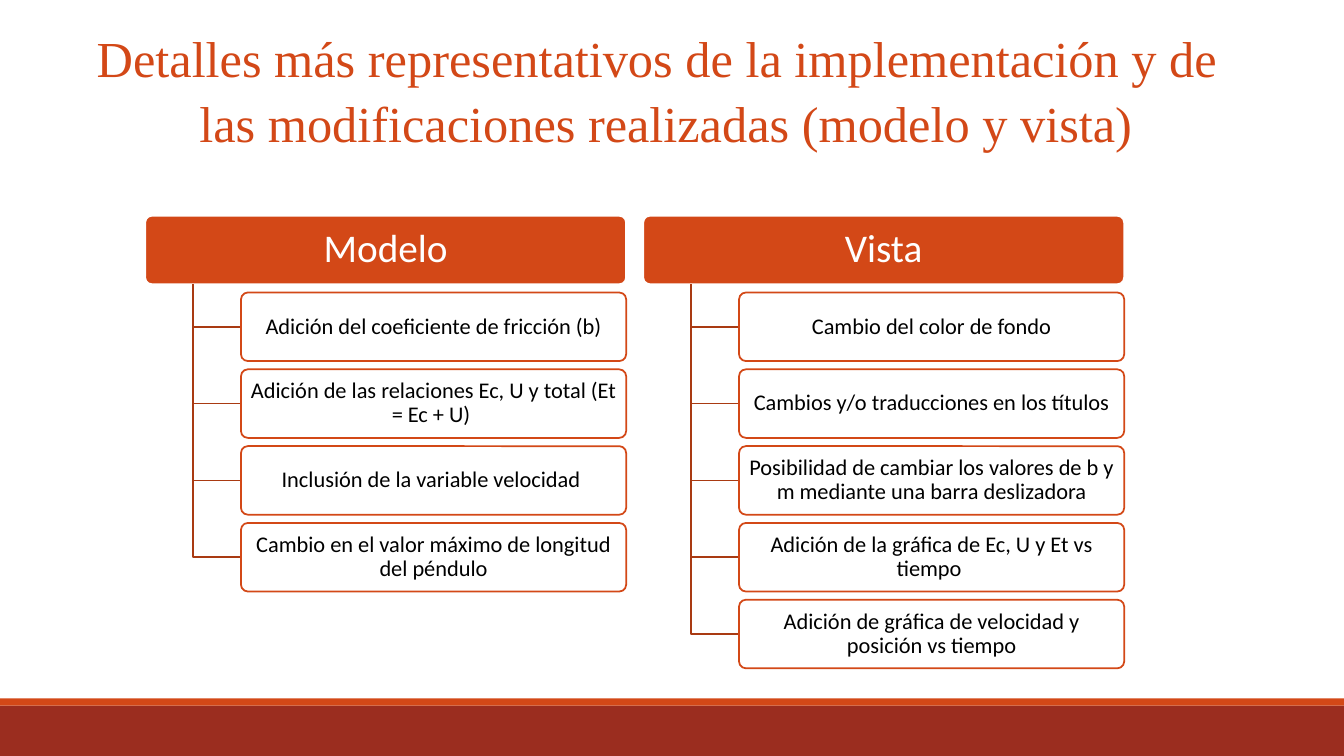
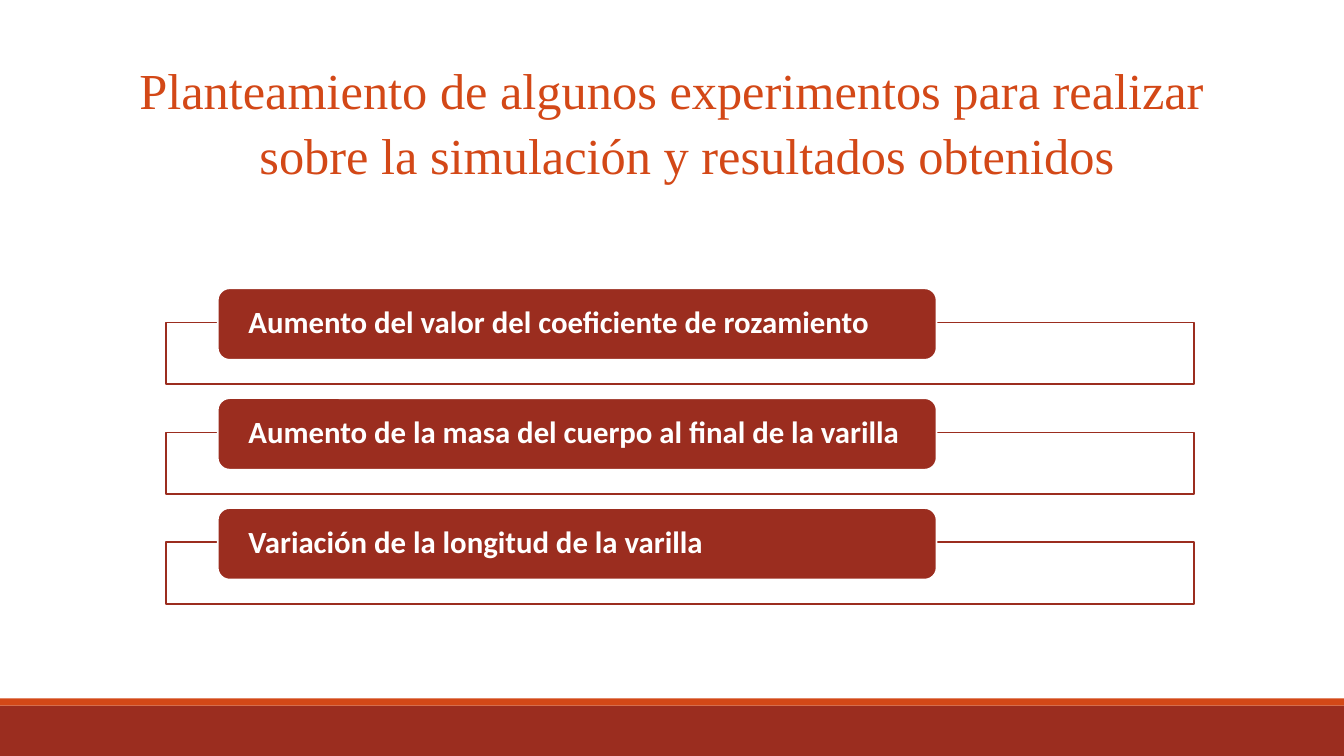
"""Builds two slides on a pendulum simulation: changes made and experiments."""
import pptx
import pptx.util
import pptx.dml.color
import pptx.enum.shapes
import pptx.enum.text

Inches = pptx.util.Inches
Pt = pptx.util.Pt
SHAPE = pptx.enum.shapes.MSO_SHAPE
ALIGN = pptx.enum.text.PP_ALIGN
MIDDLE = pptx.enum.text.MSO_ANCHOR.MIDDLE

WHITE, BLACK = "FFFFFF", "000000"
ORANGE, RED, RUST = "D34817", "9B2D1F", "A93A12"
SERIF, SANS = "Times New Roman", "Calibri"
WIDTH, HEIGHT = 13.33, 7.5

BANDS = [(7, 0.5, RED), (6.93, 0.07, ORANGE)]
CHANGES = {
    "title": "Detalles más representativos de la implementación y de las "
             "modificaciones realizadas (modelo y vista) ",
    "place": (0.71, 0.18, 11.62, 1.37),
    "lists": [
        ("Modelo", [
            "Adición del coeficiente de fricción (b)",
            "Adición de las relaciones Ec, U y total (Et = Ec + U) ",
            "Inclusión de la variable velocidad ",
            "Cambio en el valor máximo de longitud del péndulo",
        ]),
        ("Vista", [
            "Cambio del color de fondo",
            "Cambios y/o traducciones en los títulos",
            "Posibilidad de cambiar los valores de b y m mediante una barra deslizadora",
            "Adición de la gráfica de Ec, U y Et vs tiempo ",
            "Adición de gráfica de velocidad y posición vs tiempo",
        ]),
    ],
}
TESTS = {
    "title": "Planteamiento de algunos experimentos para realizar sobre la "
             "simulación y resultados obtenidos",
    "place": (1.04, 0.5, 11.25, 1.37),
    "items": [
        "Aumento del valor del coeficiente de rozamiento",
        "Aumento de la masa del cuerpo al final de la varilla",
        "Variación de la longitud de la varilla",
    ],
}


def color(code):
    """Turn a hex string into a colour."""
    return pptx.dml.color.RGBColor.from_string(code)


def write(shape, text, size, font, ink, align, pads, space=0.9, bold=False):
    """Set and format the text of a shape."""
    frame = shape.text_frame
    frame.word_wrap = True
    frame.margin_left = frame.margin_right = Inches(pads[0])
    frame.margin_top = frame.margin_bottom = Inches(pads[1])
    frame.text = text
    para = frame.paragraphs[0]
    para.alignment = align
    para.line_spacing = space
    face = para.runs[0].font
    face.size, face.name, face.bold = Pt(size), font, bold
    face.color.rgb = color(ink)
    return para


def stroke(shape, ink):
    """Outline a shape."""
    shape.line.color.rgb = color(ink)
    shape.line.width = Pt(1.25)


def block(slide, kind, place, fill, edge=None, curve=None):
    """Add a filled shape, outlined if an edge colour is given."""
    shape = slide.shapes.add_shape(kind, *map(Inches, place))
    shape.shadow.inherit = False
    shape.fill.solid()
    shape.fill.fore_color.rgb = color(fill)
    if edge:
        stroke(shape, edge)
    else:
        shape.line.fill.background()
    if curve:
        shape.adjustments[0] = curve
    shape.text_frame.vertical_anchor = MIDDLE
    return shape


def elbow(slide, x1, y1, x2, y2):
    """Draw an open line that goes down and then right."""
    pen = slide.shapes.build_freeform(Inches(x1), Inches(y1))
    pen.add_line_segments([(Inches(x1), Inches(y2)), (Inches(x2), Inches(y2))], close=False)
    shape = pen.convert_to_shape()
    shape.shadow.inherit = False
    shape.fill.background()
    stroke(shape, RUST)


def start(deck, page):
    """Add a slide with the shared bands and title."""
    slide = deck.slides.add_slide(deck.slide_layouts[6])
    for top, tall, fill in BANDS:
        block(slide, SHAPE.RECTANGLE, (0, top, WIDTH, tall), fill)
    box = slide.shapes.add_textbox(*map(Inches, page["place"]))
    para = write(box, page["title"], 36, SERIF, ORANGE, ALIGN.CENTER, (0.1, 0.05), 1.07)
    para.space_after = Pt(8)
    props = para._p.get_or_add_pPr()
    props.set("marL", str(Inches(0.3)))
    props.set("indent", str(-Inches(0.3)))
    return slide


def show_lists(slide, lists):
    """Draw each header with its items hanging below it."""
    left, top, wide, tall = 1.44, 2.14, 4.77, 0.68
    step, shift, inset = 3.81 / 5, 4.94, 0.95
    for col, (name, items) in enumerate(lists):
        x = left + col * shift
        head = block(slide, SHAPE.ROUNDED_RECTANGLE, (x, top, wide, tall), ORANGE, WHITE, 0.1)
        write(head, name, 28, SANS, WHITE, ALIGN.CENTER, (0.08, 0.06))
        for row, item in enumerate(items, 1):
            y = top + row * step
            elbow(slide, x + inset / 2, top + tall, x + inset, y + tall / 2)
            place = (x + inset, y, wide - inset, tall)
            box = block(slide, SHAPE.ROUNDED_RECTANGLE, place, WHITE, ORANGE, 0.1)
            write(box, item, 16, SANS, BLACK, ALIGN.CENTER, (0.05, 0.04))


def show_tests(slide, items):
    """Draw each label over the top edge of its frame."""
    for row, item in enumerate(items):
        y = 2.86 + row * 1.09
        block(slide, SHAPE.RECTANGLE, (1.65, y + 0.34, 10.19, 0.61), WHITE, RED)
        label = block(slide, SHAPE.ROUNDED_RECTANGLE, (2.16, y, 7.13, 0.71), RED, WHITE)
        write(label, item, 22, SANS, WHITE, ALIGN.LEFT, (0.27, 0), bold=True)


def main():
    """Build and save the deck."""
    deck = pptx.Presentation()
    deck.slide_width, deck.slide_height = Inches(WIDTH), Inches(HEIGHT)
    show_lists(start(deck, CHANGES), CHANGES["lists"])
    show_tests(start(deck, TESTS), TESTS["items"])
    deck.save("out.pptx")


if __name__ == "__main__":
    main()
